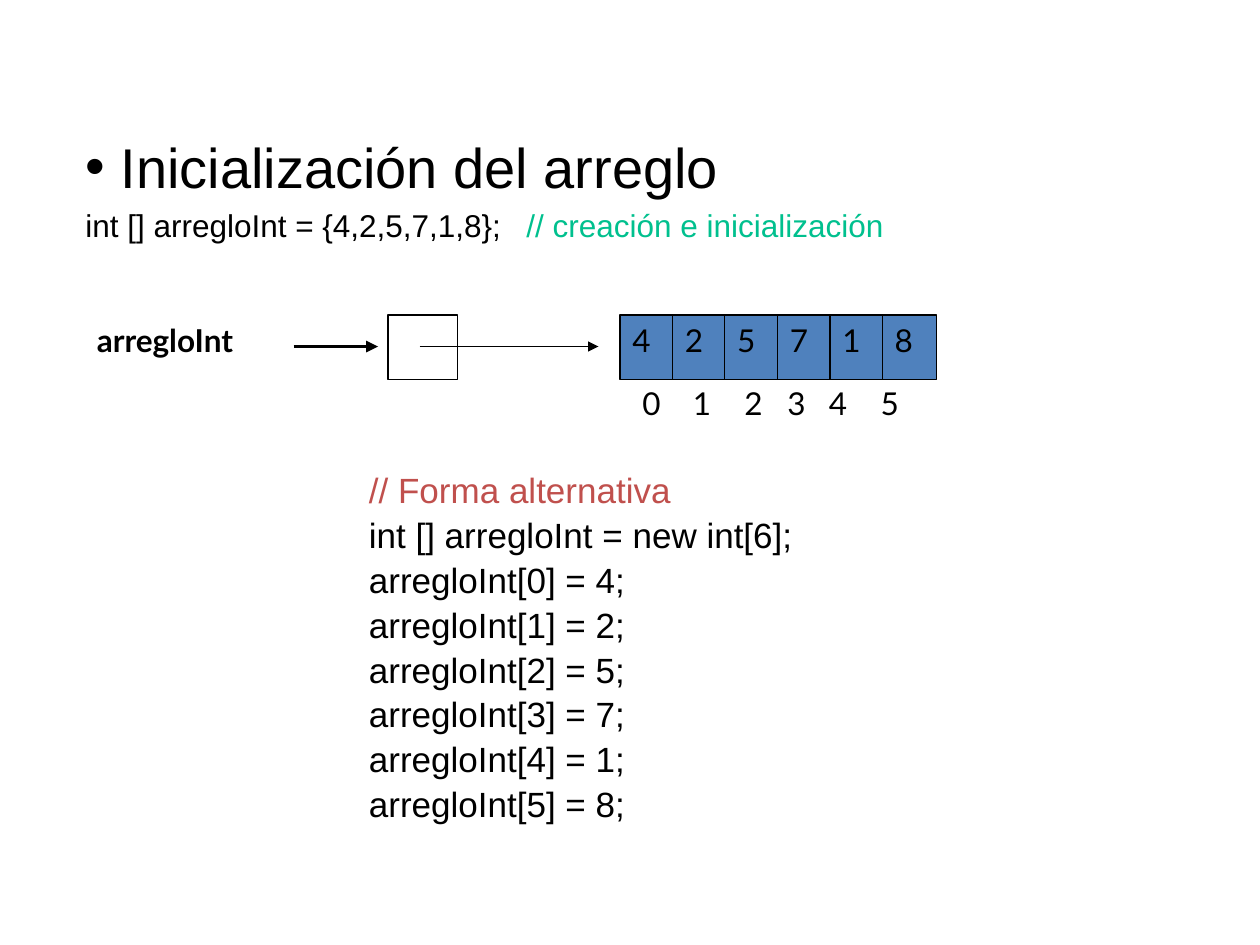
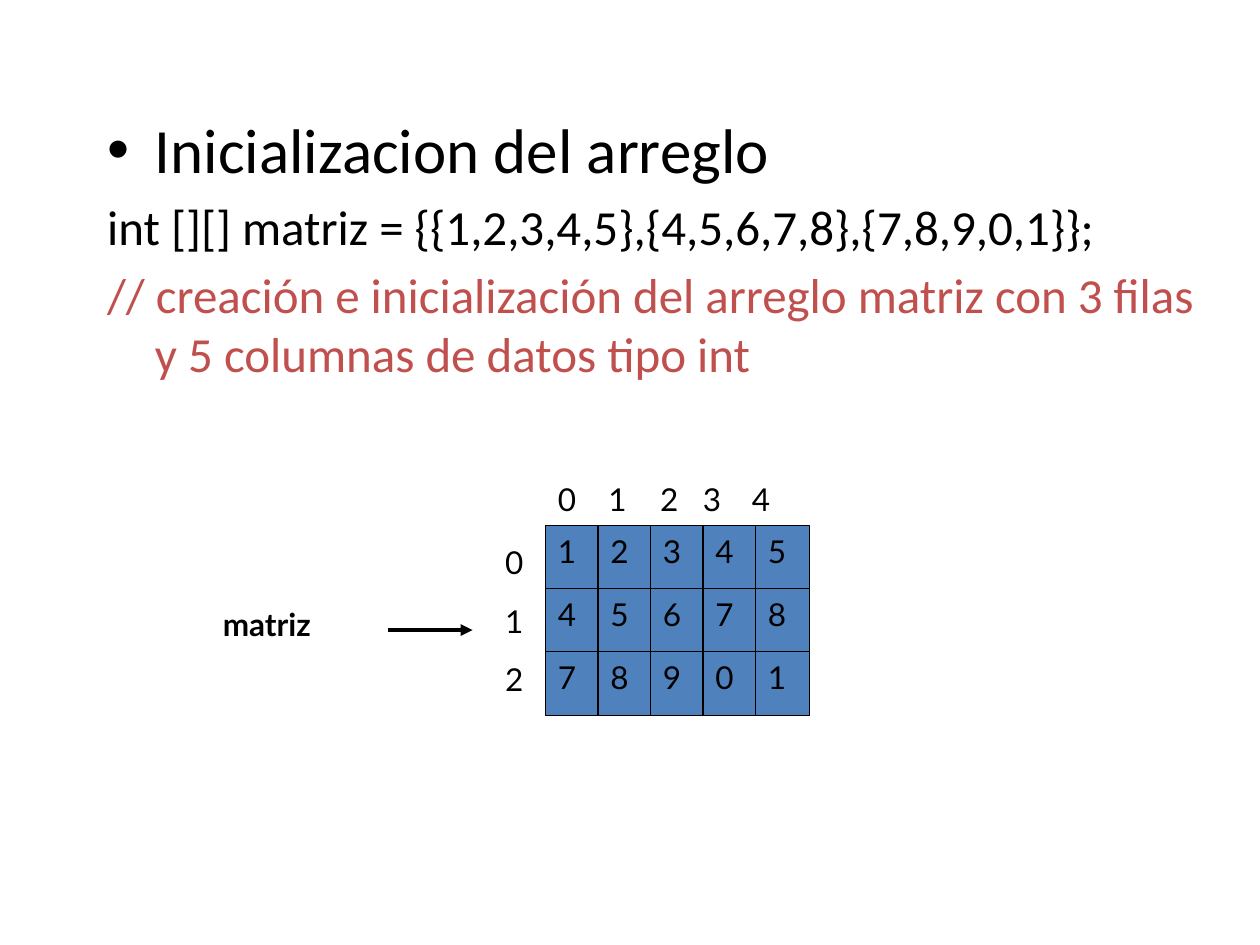
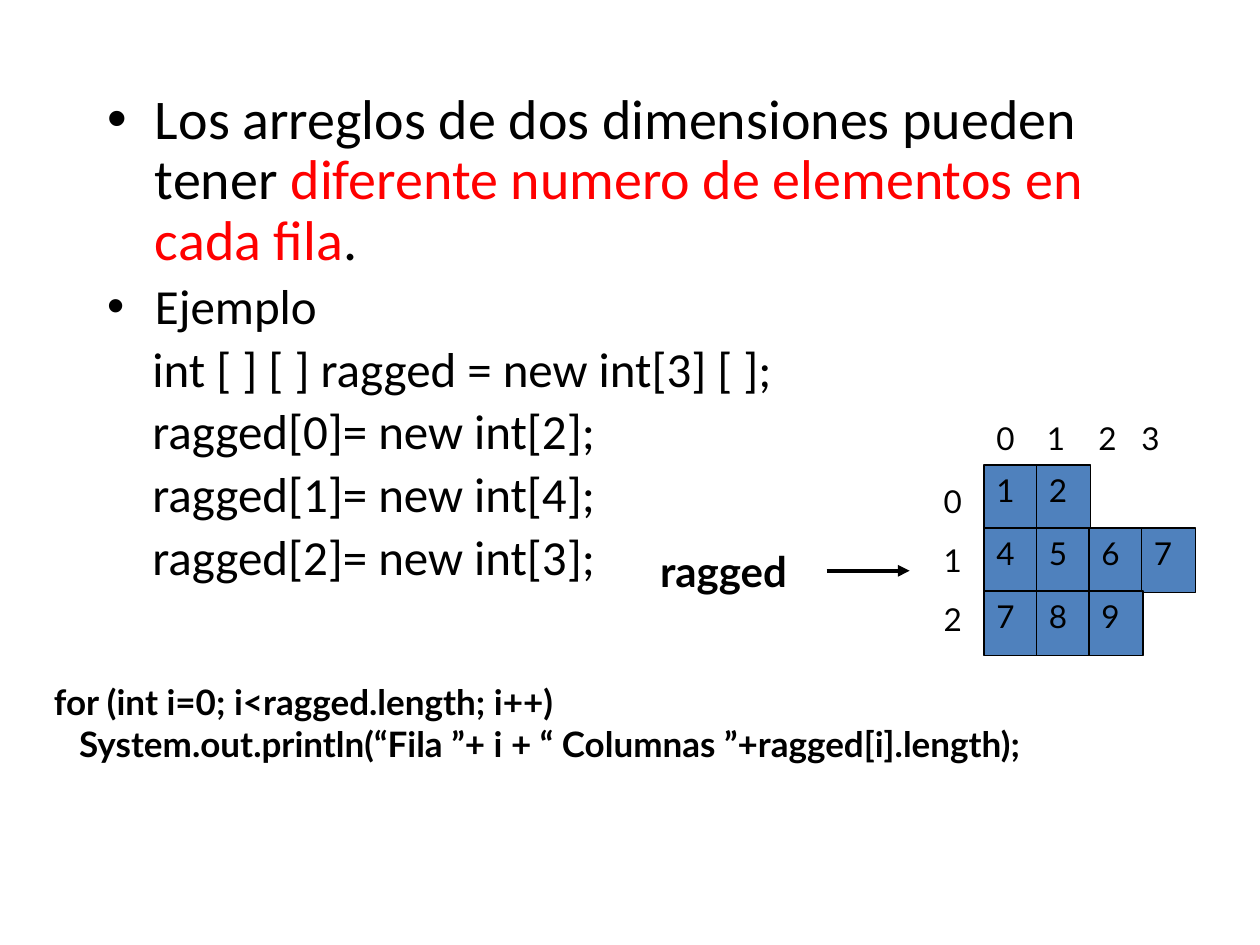
from dataclasses import dataclass

from pptx import Presentation
from pptx.dml.color import RGBColor
from pptx.enum.shapes import MSO_CONNECTOR, MSO_SHAPE
from pptx.enum.text import MSO_ANCHOR, MSO_AUTO_SIZE, PP_ALIGN
from pptx.oxml.ns import qn
from pptx.util import Inches, Pt
from lxml.etree import SubElement

BLACK = RGBColor(0x00, 0x00, 0x00)
BLUE = RGBColor(0x4F, 0x81, 0xBD)
BRICK = RGBColor(0xC0, 0x50, 0x4D)
GREEN = RGBColor(0x00, 0xC0, 0x8E)
RED = RGBColor(0xFF, 0x00, 0x00)

CELL_WIDTH, CELL_HEIGHT = 0.43, 0.51
COLUMN_PITCH, ROW_PITCH = 5 / 12, 0.5
HANGING = 0.38
CONTENT_LAYOUT, BLANK_LAYOUT = 1, 6


@dataclass
class Line:
    """One paragraph; runs are (text, colour) pairs."""
    runs: list
    size: int = 18
    font: str = "Lato"
    bold: bool = False
    bullet: bool = False
    margin: float = 0
    indent: float = 0
    line_spacing: float = 1
    percent_before: int = 0
    points_before: int = 0
    tab: float = 0


def body_line(runs, size, margin=HANGING, indent=-HANGING, **options):
    return Line(runs, size, "Calibri", margin=margin, indent=indent,
                percent_before=20, **options)


INITIALIZATION = [
    Line([(" Inicialización del arreglo", BLACK)], 32, "Arial", bullet=True,
         percent_before=20),
    Line([("int [] arregloInt = {4,2,5,7,1,8};", BLACK),
          ("\t// creación e inicialización", GREEN)], 18, "Arial",
         percent_before=20, tab=3.5),
]
ARRAY_VALUES = [[4, 2, 5, 7, 1, 8]]
ARRAY_INDEX_OFFSETS = (0, 0.4, 0.81, 1.15, 1.48, 1.89)
ALTERNATIVE = [("// Forma alternativa", BRICK),
               ("int [] arregloInt = new int[6];", BLACK)]
ALTERNATIVE += [(f"arregloInt[{index}] = {value};", BLACK)
                for index, value in enumerate(ARRAY_VALUES[0])]

MATRIX_BODY = [
    body_line([("Inicializacion del arreglo", BLACK)], 36, bullet=True),
    body_line([("int [][] matriz = {{1,2,3,4,5},{4,5,6,7,8},{7,8,9,0,1}};",
                BLACK)], 28),
    body_line([("// creación e inicialización del arreglo matriz con 3 filas "
                "y 5 columnas de datos tipo int", BRICK)], 28),
]
MATRIX_VALUES = [[1, 2, 3, 4, 5], [4, 5, 6, 7, 8], [7, 8, 9, 0, 1]]
MATRIX_INDEX_OFFSETS = (0, 0.4, 0.81, 1.15, 1.54)

RAGGED_CODE = ["int [ ] [ ] ragged = new int[3] [ ];", "ragged[0]= new int[2];",
               "ragged[1]= new int[4];", "ragged[2]= new int[3];"]
RAGGED_BODY = [
    body_line([("Los arreglos de dos dimensiones pueden tener ", BLACK),
               ("diferente numero de elementos en cada fila", RED),
               (".", BLACK)], 32, bullet=True, line_spacing=0.9),
    body_line([("Ejemplo", BLACK)], 28, bullet=True, line_spacing=0.9),
]
RAGGED_BODY += [body_line([(code, BLACK)], 28, 0.36, 0, line_spacing=0.9)
                for code in RAGGED_CODE]
RAGGED_VALUES = [[1, 2], [4, 5, 6, 7], [7, 8, 9]]
RAGGED_INDEX_OFFSETS = (0, 0.4, 0.81, 1.15)
LOOP_CODE = [
    Line([("for (int i=0; i<ragged.length; i++)", BLACK)], 20, bold=True),
    Line([("System.out.println(“Fila ”+ i + “ Columnas ”+ragged[i].length);",
           BLACK)], 20, bold=True, margin=0.2),
]


def format_paragraph(paragraph, line):
    paragraph.alignment = PP_ALIGN.LEFT
    paragraph.line_spacing = line.line_spacing
    paragraph.space_before = Pt(line.points_before)
    properties = paragraph._p.get_or_add_pPr()
    properties.set("marL", str(Inches(line.margin)))
    properties.set("indent", str(Inches(line.indent)))
    if line.percent_before:
        spacing = properties.find(qn("a:spcBef"))
        spacing.clear()
        SubElement(spacing, qn("a:spcPct")).set("val", str(line.percent_before * 1000))
    if line.bullet:
        SubElement(properties, qn("a:buFont")).set("typeface", "Arial")
        SubElement(properties, qn("a:buChar")).set("char", "•")
    else:
        SubElement(properties, qn("a:buNone"))
    if line.tab:
        tab = SubElement(SubElement(properties, qn("a:tabLst")), qn("a:tab"))
        tab.set("pos", str(Inches(line.tab)))
        tab.set("algn", "l")


def write_lines(text_frame, lines):
    text_frame.word_wrap = True
    text_frame.auto_size = MSO_AUTO_SIZE.NONE
    text_frame.vertical_anchor = MSO_ANCHOR.TOP
    for number, line in enumerate(lines):
        paragraph = text_frame.add_paragraph() if number else text_frame.paragraphs[0]
        format_paragraph(paragraph, line)
        for text, color in line.runs:
            run = paragraph.add_run()
            run.text = text
            run.font.name = line.font
            run.font.size = Pt(line.size)
            run.font.bold = line.bold
            run.font.color.rgb = color


def add_text(slide, left, top, width, height, lines):
    box = slide.shapes.add_textbox(*map(Inches, (left, top, width, height)))
    write_lines(box.text_frame, lines)


def add_label(slide, left, top, text, size=18):
    add_text(slide, left, top, 1.92, 0.5, [Line([(text, BLACK)], size, bold=True)])


def add_body_slide(presentation, left, top, width, height, lines):
    slide = presentation.slides.add_slide(presentation.slide_layouts[CONTENT_LAYOUT])
    title, body = slide.placeholders
    title.element.getparent().remove(title.element)
    body.left, body.top, body.width, body.height = map(Inches, (left, top, width, height))
    write_lines(body.text_frame, lines)
    return slide


def add_arrow(slide, start, end, y, weight=2.25):
    arrow = slide.shapes.add_connector(
        MSO_CONNECTOR.STRAIGHT, Inches(start), Inches(y), Inches(end), Inches(y))
    arrow.line.color.rgb = BLACK
    arrow.line.width = Pt(weight)
    SubElement(arrow.line._get_or_add_ln(), qn("a:tailEnd")).set("type", "triangle")
    SubElement(arrow._element.spPr, qn("a:effectLst"))


def add_box(slide, left, top, width, fill=None):
    box = slide.shapes.add_shape(
        MSO_SHAPE.RECTANGLE, *map(Inches, (left, top, width, CELL_HEIGHT)))
    box.shadow.inherit = False
    box.line.color.rgb = BLACK
    box.line.width = Pt(0.75)
    if fill is None:
        box.fill.background()
    else:
        box.fill.solid()
        box.fill.fore_color.rgb = fill
    return box


def add_cells(slide, left, top, rows):
    for row, values in enumerate(rows):
        for column, value in enumerate(values):
            cell = add_box(slide, left + column * COLUMN_PITCH,
                           top + row * ROW_PITCH, CELL_WIDTH, BLUE)
            write_lines(cell.text_frame, [Line([(str(value), BLACK)])])


def add_column_indexes(slide, left, top, offsets):
    for index, offset in enumerate(offsets):
        add_text(slide, left + offset, top, CELL_WIDTH, 0.4,
                 [Line([(str(index), BLACK)])])


def add_row_indexes(slide, left, top, count):
    lines = [Line([(str(index), BLACK)], points_before=12 if index else 0)
             for index in range(count)]
    add_text(slide, left, top, 0.49, 1.34, lines)


def add_matrix(slide, left, top, rows, index_offsets):
    """Draw the cells with column numbers above and row numbers at the left."""
    add_column_indexes(slide, left, top - 0.41, index_offsets)
    add_cells(slide, left, top, rows)
    add_row_indexes(slide, left - 0.42, top + 0.09, len(rows))


def build_array_slide(presentation):
    slide = presentation.slides.add_slide(presentation.slide_layouts[BLANK_LAYOUT])
    add_cells(slide, 4.92, 2.5, ARRAY_VALUES)
    add_column_indexes(slide, 5, 3, ARRAY_INDEX_OFFSETS)
    add_label(slide, 0.67, 2.5, "arregloInt")
    add_arrow(slide, 2.33, 3, 2.75)
    add_box(slide, 3.08, 2.5, 0.55)
    add_arrow(slide, 3.33, 4.75, 2.75, 0.75)
    add_text(slide, 2.83, 3.71, 3.63, 2.97,
             [Line([run], 20, "Arial", line_spacing=0.9, percent_before=20)
              for run in ALTERNATIVE])
    add_text(slide, 0.58, 1, 8.66, 1.11, INITIALIZATION)


def build_matrix_slide(presentation):
    slide = add_body_slide(presentation, 0.75, 0.83, 8.92, 5.83, MATRIX_BODY)
    add_matrix(slide, 4.33, 4.17, MATRIX_VALUES, MATRIX_INDEX_OFFSETS)
    add_label(slide, 1.67, 4.75, "matriz")
    add_arrow(slide, 3.08, 3.75, 5)


def build_ragged_slide(presentation):
    slide = add_body_slide(presentation, 0.75, 0.67, 8.5, 4.16, RAGGED_BODY)
    add_matrix(slide, 7.81, 3.69, RAGGED_VALUES, RAGGED_INDEX_OFFSETS)
    add_label(slide, 5.14, 4.28, "ragged", 24)
    add_arrow(slide, 6.56, 7.22, 4.53)
    add_text(slide, 0.33, 5.35, 9.35, 0.77, LOOP_CODE)


def main():
    presentation = Presentation()
    presentation.slide_width = Inches(10)
    presentation.slide_height = Inches(7.5)
    build_array_slide(presentation)
    build_matrix_slide(presentation)
    build_ragged_slide(presentation)
    presentation.save("out.pptx")


if __name__ == "__main__":
    main()
